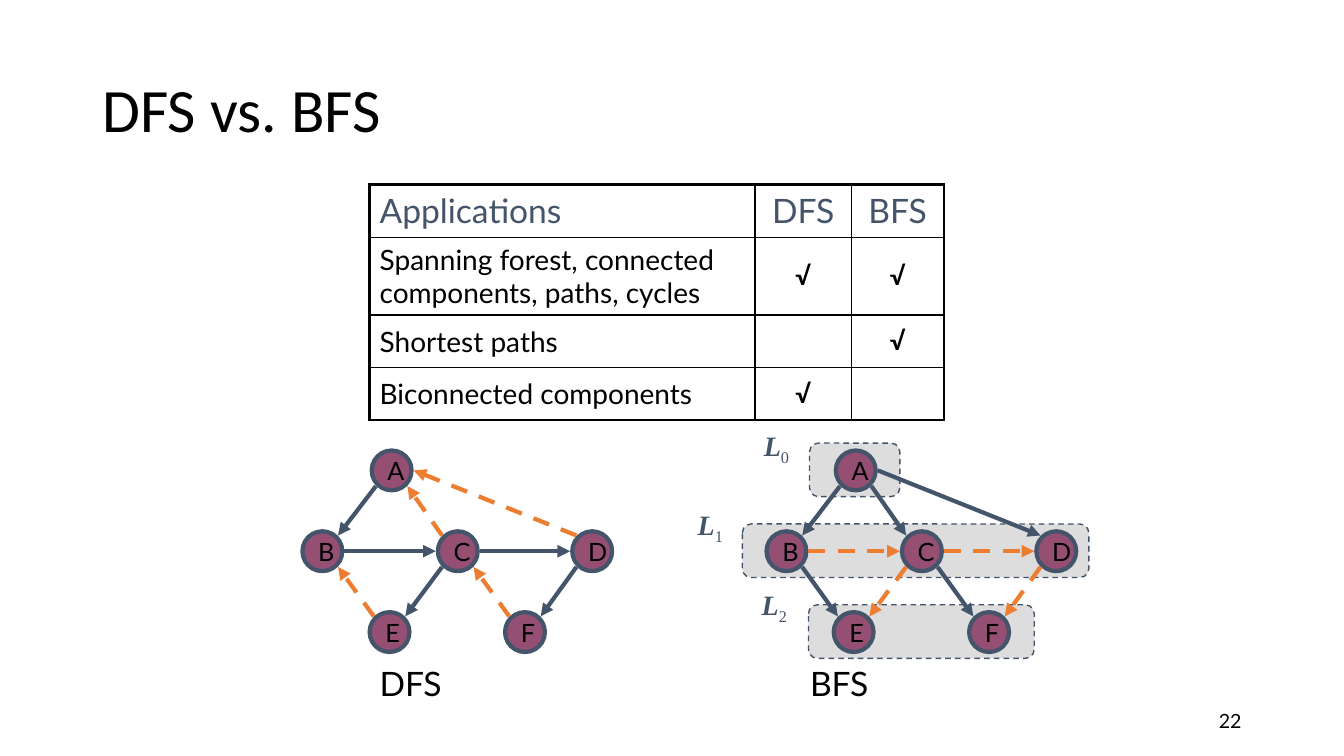
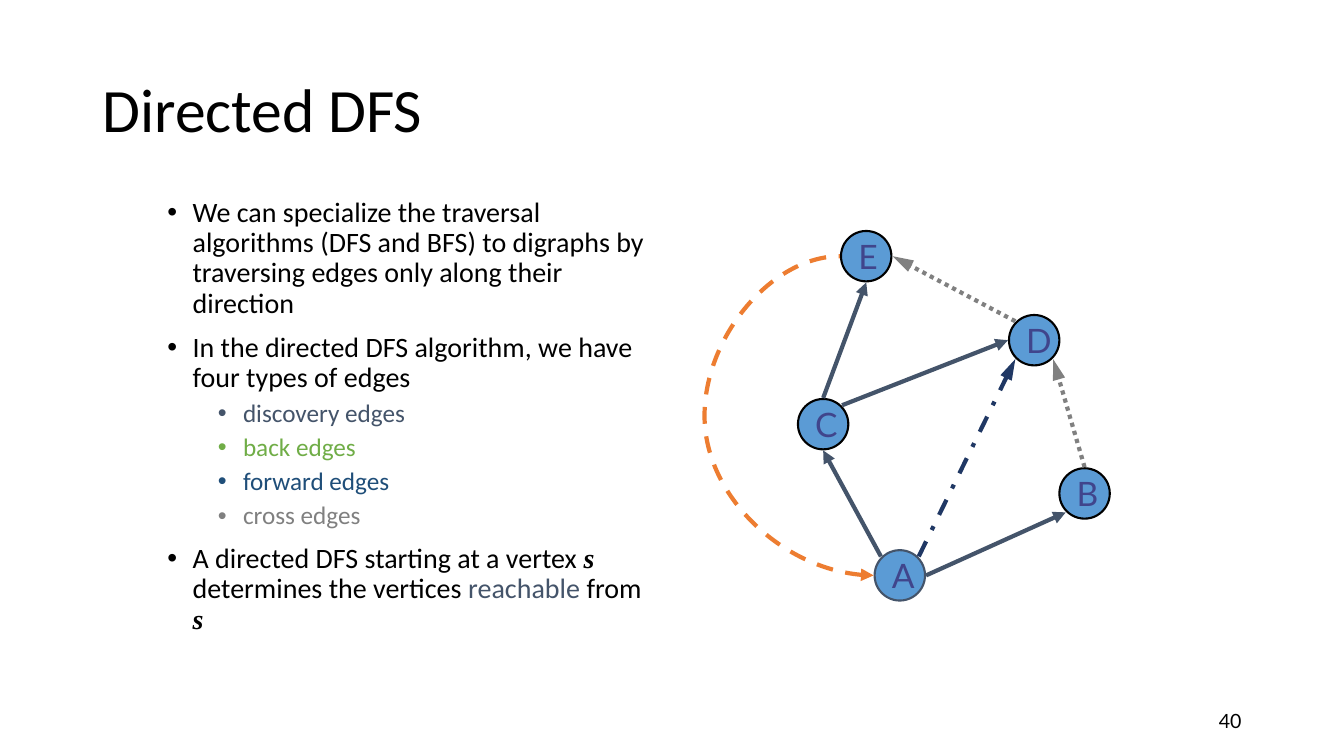
"""Build two slides on depth-first and breadth-first graph search."""
from dataclasses import dataclass
from typing import NamedTuple, Optional

from lxml.etree import SubElement
from pptx import Presentation
from pptx.dml.color import RGBColor
from pptx.enum.dml import MSO_LINE_DASH_STYLE as Dash
from pptx.enum.shapes import MSO_CONNECTOR as Connector, MSO_SHAPE as Preset
from pptx.enum.text import MSO_ANCHOR as Anchor, MSO_AUTO_SIZE as AutoSize, PP_ALIGN as Align
from pptx.oxml.ns import qn
from pptx.util import Emu, Pt


@dataclass(frozen=True)
class Theme:
    black: str = "000000"
    slate: str = "44546A"
    orange: str = "ED7D31"
    gray: str = "808080"
    green: str = "70AD47"
    blue: str = "1F4E79"
    navy: str = "203864"
    plum: str = "954F72"
    sky: str = "5B9BD5"
    indigo: str = "40458C"
    pale: str = "DDDDDD"
    title_font: str = "Calibri"
    label_font: str = "Lato"
    math_font: str = "Times New Roman"
    title: int = 44
    heading: int = 24
    body: int = 20
    small: int = 18
    number: int = 14
    edge: int = 3
    frame: float = 2.25
    rule: float = 1


THEME = Theme()


class Box(NamedTuple):
    x: int
    y: int
    w: int
    h: int


class Run(NamedTuple):
    text: str
    size: int = THEME.body
    color: str = THEME.black
    font: str = THEME.label_font
    bold: bool = False
    italic: bool = False
    baseline: int = 0


class Bullet(NamedTuple):
    runs: list[Run]
    level: int = 0


class Level(NamedTuple):
    label_x: int
    band_x: int
    band_w: int


@dataclass(frozen=True)
class EdgeStyle:
    color: str
    dash: Optional[Dash] = None
    head_length: str = "med"


@dataclass(frozen=True)
class Edge:
    source: str
    leave: str
    target: str
    enter: str
    style: EdgeStyle


@dataclass(frozen=True)
class NodeStyle:
    diameter: int
    gap: int
    fill: str
    outline: str
    outline_width: float
    text_size: int
    text_color: str


@dataclass(frozen=True)
class Graph:
    nodes: dict[str, tuple[int, int]]
    edges: list[Edge]
    style: NodeStyle

    def port(self, name: str, side: str) -> tuple[int, int]:
        """Return the point just outside a node on a compass side."""
        reach = self.style.diameter // 2 + self.style.gap
        step = reach if len(side) == 1 else round(reach * 0.71)
        x, y = self.nodes[name]
        return (x + step * (("E" in side) - ("W" in side)),
                y + step * (("S" in side) - ("N" in side)))


SCALE = 9525
SLIDE_W, SLIDE_H = 1280, 720
TITLE_BOX = Box(88, 38, 1104, 139)
NUMBER_BOX = Box(904, 667, 288, 38)
BULLETS_BOX = Box(150, 184, 482, 432)

DISCOVERY = EdgeStyle(THEME.slate)
BACK = EdgeStyle(THEME.orange, Dash.DASH)
CROSS = EdgeStyle(THEME.gray, Dash.ROUND_DOT, "lg")
FORWARD = EdgeStyle(THEME.navy, Dash.DASH_DOT, "lg")

PLUM_NODE = NodeStyle(38, 2, THEME.plum, THEME.slate, 3, THEME.small, THEME.black)
SKY_NODE = NodeStyle(48, 1, THEME.sky, THEME.black, 1.5, THEME.heading, THEME.indigo)

ROW_TOP, ROW_STEP, BFS_SHIFT = 448, 77, 442
DFS_NODES = {name: (x, ROW_TOP + row * ROW_STEP) for name, x, row in (
    ("A", 373, 0), ("B", 307, 1), ("C", 436, 1), ("D", 564, 1), ("E", 371, 2), ("F", 500, 2))}
BFS_NODES = {name: (x + BFS_SHIFT, y) for name, (x, y) in DFS_NODES.items()}
DIGRAPH_NODES = {"A": (857, 548), "C": (784, 404), "E": (825, 244),
                 "B": (1033, 470), "D": (985, 324)}
LEVELS = [Level(718, 771, 86), Level(655, 707, 330), Level(716, 770, 215)]


def edges(style: EdgeStyle, listing: str) -> list[Edge]:
    """Read edges such as 'A SW B NE', parted by commas."""
    return [Edge(*item.split(), style) for item in listing.split(",")]


DFS_EDGES = (edges(DISCOVERY, "A SW B NE, B E C W, C E D W, C SW E NE, D SW F NE")
             + edges(BACK, "E NW B SE, C NW A SE, D NW A E, F NW C SE"))
BFS_EDGES = (edges(DISCOVERY, "A SW B NE, A SE C NW, A E D NW, B SE E NW, C SE F NW")
             + edges(BACK, "B E C W, C E D W, C SW E NE, D SW F NE"))
DIGRAPH_EDGES = (edges(DISCOVERY, "A NW C S, A E B SW, C N E S, C NE D W")
                 + edges(CROSS, "D NW E E, B N D SE") + edges(FORWARD, "A NE D SW"))

APPLICATIONS = [
    ("Applications", "DFS", "BFS"),
    ("Spanning forest, connected components, paths, cycles", "√", "√"),
    ("Shortest paths", "", "√"),
    ("Biconnected components", "√", ""),
]
TABLE_X, TABLE_Y = 352, 176
COLUMN_WIDTHS = (367, 92, 88)
ROW_HEIGHTS = (50, 74, 50, 50)


def prose(text: str, color: str = THEME.black, size: int = THEME.body) -> Run:
    """Return a run of body text."""
    return Run(text, size, color, THEME.title_font)


VERTEX = Run("s", font=THEME.math_font, bold=True, italic=True)
BULLETS = [
    Bullet([prose("We can specialize the traversal algorithms (DFS and BFS) to digraphs "
                  "by traversing edges only along their direction")]),
    Bullet([prose("In the directed DFS algorithm, we have four types of edges")]),
    *[Bullet([prose(f"{kind} edges", color, THEME.small)], 1) for kind, color in (
        ("discovery", THEME.slate), ("back", THEME.green),
        ("forward", THEME.blue), ("cross", THEME.gray))],
    Bullet([prose("A directed DFS starting at a vertex "), VERTEX,
            prose(" determines the vertices "), prose("reachable", THEME.slate),
            prose(" from "), VERTEX]),
]


def px(length: int) -> Emu:
    """Turn px into EMU."""
    return Emu(length * SCALE)


def rgb(color: str) -> RGBColor:
    """Turn a hex string into a colour."""
    return RGBColor.from_string(color)


def add_runs(paragraph, runs: list[Run]) -> None:
    """Add formatted runs to a paragraph."""
    for item in runs:
        run = paragraph.add_run()
        run.text = item.text
        font = run.font
        font.name, font.size = item.font, Pt(item.size)
        font.bold, font.italic = item.bold, item.italic
        font.color.rgb = rgb(item.color)
        if item.baseline:
            font._element.set("baseline", str(item.baseline * 1000))


def add_text(slide, box: Box, runs: list[Run], align: Align = Align.LEFT,
             anchor: Anchor = Anchor.TOP) -> None:
    """Add a one-paragraph text box."""
    frame = slide.shapes.add_textbox(*map(px, box)).text_frame
    frame.word_wrap, frame.vertical_anchor = True, anchor
    frame.paragraphs[0].alignment = align
    add_runs(frame.paragraphs[0], runs)


def add_base(deck, title: str, number: str):
    """Add a slide with its title and number."""
    slide = deck.slides.add_slide(deck.slide_layouts[5])
    heading = slide.shapes.title
    heading.left, heading.top, heading.width, heading.height = map(px, TITLE_BOX)
    frame = heading.text_frame
    frame.auto_size, frame.vertical_anchor = AutoSize.NONE, Anchor.MIDDLE
    paragraph = frame.paragraphs[0]
    paragraph.alignment, paragraph.line_spacing = Align.LEFT, 0.9
    add_runs(paragraph, [prose(title, size=THEME.title)])
    add_text(slide, NUMBER_BOX, [Run(number, THEME.number)], Align.RIGHT, Anchor.MIDDLE)
    return slide


def add_preset(slide, preset: Preset, box: Box, fill: str, outline: str, width: float):
    """Add a filled and outlined shape without shadow."""
    shape = slide.shapes.add_shape(preset, *map(px, box))
    shape.shadow.inherit = False
    shape.fill.solid()
    shape.fill.fore_color.rgb = rgb(fill)
    shape.line.color.rgb = rgb(outline)
    shape.line.width = Pt(width)
    return shape


def add_edge(slide, start: tuple[int, int], end: tuple[int, int], style: EdgeStyle,
             kind: Connector = Connector.STRAIGHT, arrow: str = "tailEnd"):
    """Add an arrow between two points."""
    edge = slide.shapes.add_connector(kind, *map(px, start + end))
    edge.line.color.rgb = rgb(style.color)
    edge.line.width = Pt(THEME.edge)
    if style.dash is not None:
        edge.line.dash_style = style.dash
    properties = edge.element.spPr
    SubElement(properties.find(qn("a:ln")), qn(f"a:{arrow}"),
               type="triangle", w="med", len=style.head_length)
    SubElement(properties, qn("a:effectLst"))
    return edge


def add_graph(slide, graph: Graph) -> None:
    """Draw the nodes and edges of a graph."""
    style = graph.style
    radius = style.diameter // 2
    for name, (x, y) in graph.nodes.items():
        outline = THEME.slate if name == "A" else style.outline
        node = add_preset(slide, Preset.OVAL,
                          Box(x - radius, y - radius, style.diameter, style.diameter),
                          style.fill, outline, style.outline_width)
        frame = node.text_frame
        frame.word_wrap, frame.vertical_anchor = False, Anchor.MIDDLE
        frame.paragraphs[0].alignment = Align.LEFT
        add_runs(frame.paragraphs[0], [Run(name, style.text_size, style.text_color)])
    for edge in graph.edges:
        add_edge(slide, graph.port(edge.source, edge.leave),
                 graph.port(edge.target, edge.enter), edge.style)


def add_back_edge(slide, graph: Graph) -> None:
    """Draw the curved back edge that bulges left from E to A."""
    edge = add_edge(slide, graph.port("E", "W"), graph.port("A", "W"), BACK,
                    Connector.CURVE, "headEnd")
    properties = edge.element.spPr
    properties.find(qn("a:xfrm")).set("rot", "10800000")
    guides = properties.find(qn("a:prstGeom")).get_or_add_avLst()
    SubElement(guides, qn("a:gd"), name="adj1", fmla="val 503000")


def add_levels(slide) -> None:
    """Draw the dashed bands of the search levels and their labels."""
    for index, level in enumerate(LEVELS):
        band = add_preset(slide, Preset.ROUNDED_RECTANGLE,
                          Box(level.band_x, 422 + index * ROW_STEP, level.band_w, 51),
                          THEME.pale, THEME.slate, THEME.rule)
        band.line.dash_style = Dash.DASH
        letter = Run("L", THEME.body, THEME.slate, THEME.math_font, True, True)
        digit = Run(str(index), THEME.body, THEME.slate, THEME.math_font, baseline=-25)
        add_text(slide, Box(level.label_x, 403 + index * 76, 49, 41), [letter, digit])


def set_borders(cell, outer: dict[str, bool]) -> None:
    """Rule a cell, thicker on the sides that frame the table."""
    properties = cell._tc.get_or_add_tcPr()
    for index, (side, framed) in enumerate(outer.items()):
        width = Pt(THEME.frame if framed else THEME.rule)
        border = SubElement(properties, qn(f"a:ln{side}"), w=str(int(width)))
        SubElement(SubElement(border, qn("a:solidFill")), qn("a:srgbClr"), val=THEME.black)
        properties.insert(index, border)


def add_applications(slide) -> None:
    """Add the table that compares the two searches."""
    last_row, last_column = len(ROW_HEIGHTS) - 1, len(COLUMN_WIDTHS) - 1
    box = Box(TABLE_X, TABLE_Y, sum(COLUMN_WIDTHS), sum(ROW_HEIGHTS))
    table = slide.shapes.add_table(last_row + 1, last_column + 1, *map(px, box)).table
    table.first_row = table.horz_banding = False
    for column, width in zip(table.columns, COLUMN_WIDTHS):
        column.width = px(width)
    for r, (row, height) in enumerate(zip(table.rows, ROW_HEIGHTS)):
        row.height = px(height)
        for c, cell in enumerate(row.cells):
            cell.fill.background()
            cell.vertical_anchor = Anchor.MIDDLE
            set_borders(cell, {"L": c == 0, "R": c == last_column,
                               "T": r == 0, "B": r == last_row})
            text = APPLICATIONS[r][c]
            if not text:
                continue
            paragraph = cell.text_frame.paragraphs[0]
            paragraph.alignment = Align.CENTER if c else Align.LEFT
            if r == 0:
                run = Run(text, THEME.heading, THEME.slate)
            else:
                run = Run(text, THEME.small, bold=True) if c else Run(text)
            add_runs(paragraph, [run])


def add_bullets(slide) -> None:
    """Add the bulleted text."""
    frame = slide.shapes.add_textbox(*map(px, BULLETS_BOX)).text_frame
    frame.word_wrap = True
    for index, bullet in enumerate(BULLETS):
        paragraph = frame.add_paragraph() if index else frame.paragraphs[0]
        paragraph.level, paragraph.line_spacing = bullet.level, 0.9
        if index:
            paragraph.space_before = Pt(5 if bullet.level else 10)
        properties = paragraph._p.get_or_add_pPr()
        properties.set("marL", str(px(24 + 48 * bullet.level)))
        properties.set("indent", str(px(-24)))
        SubElement(properties, qn("a:buFont"), typeface="Arial")
        SubElement(properties, qn("a:buChar"), char="•")
        add_runs(paragraph, bullet.runs)


def main() -> None:
    """Build and save the deck."""
    deck = Presentation()
    deck.slide_width, deck.slide_height = px(SLIDE_W), px(SLIDE_H)

    comparison = add_base(deck, "DFS vs. BFS", "22")
    add_applications(comparison)
    add_levels(comparison)
    add_graph(comparison, Graph(DFS_NODES, DFS_EDGES, PLUM_NODE))
    add_graph(comparison, Graph(BFS_NODES, BFS_EDGES, PLUM_NODE))
    for caption, x in (("DFS", 352), ("BFS", 762)):
        add_text(comparison, Box(x, 627, 167, 48), [Run(caption, THEME.heading)])

    directed = add_base(deck, "Directed DFS", "40")
    add_bullets(directed)
    digraph = Graph(DIGRAPH_NODES, DIGRAPH_EDGES, SKY_NODE)
    add_graph(directed, digraph)
    add_back_edge(directed, digraph)

    deck.save("out.pptx")


if __name__ == "__main__":
    main()
